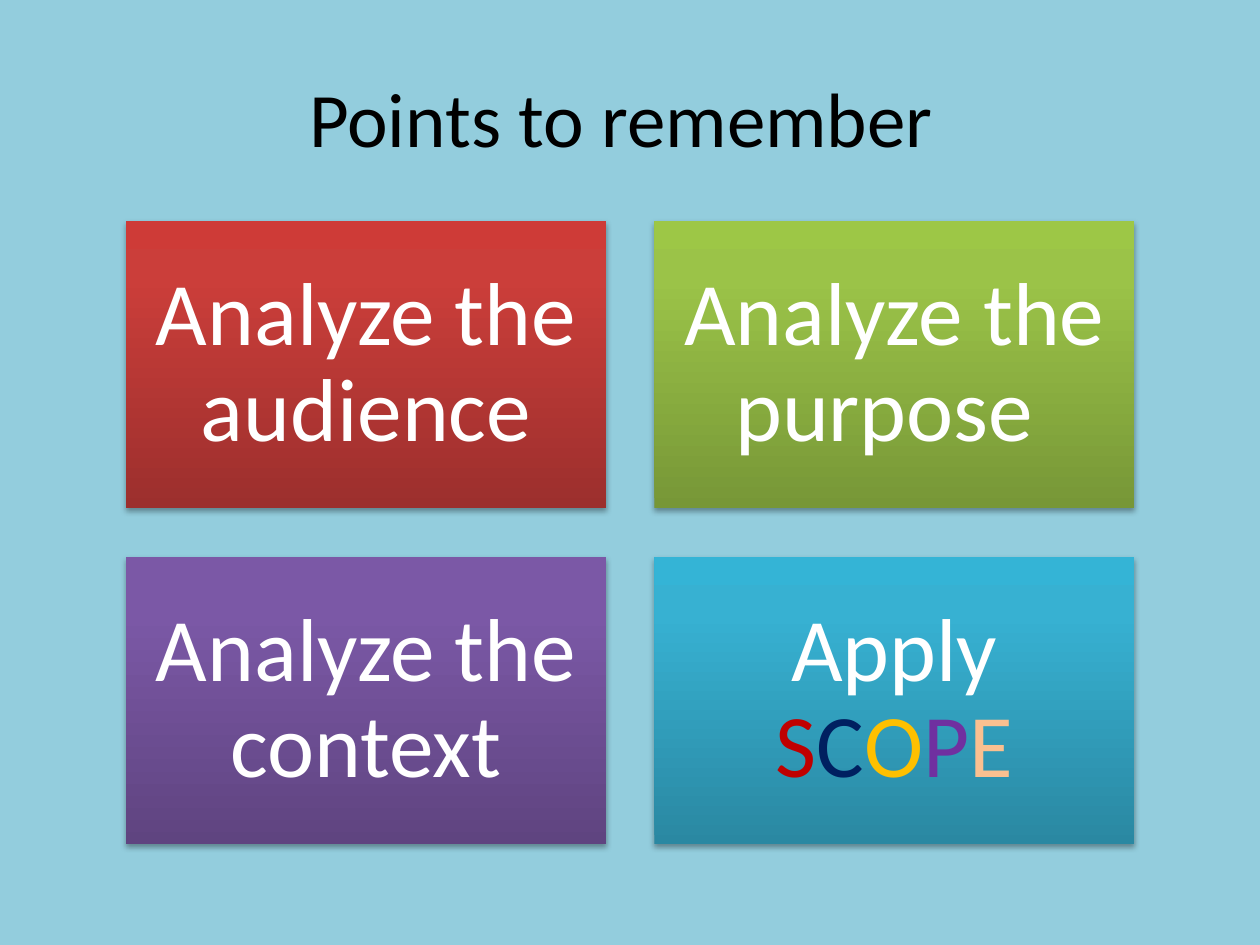
from copy import deepcopy

from lxml import etree
from pptx import Presentation
from pptx import util as u
from pptx.dml.color import RGBColor
from pptx.enum import shapes, text
from pptx.oxml.ns import qn

COLORS = {
    "background": "93CDDD", "black": "000000", "white": "FFFFFF",
    "red": "C00000", "navy": "002060", "gold": "FFC000",
    "purple": "7030A0", "peach": "FAC090",
}
# Bottom, upper and top shade of each card
SHADES = {
    "red": ("9C2F2D", "CB3E3A", "CE3B37"),
    "green": ("779737", "9BC348", "9DC746"),
    "violet": ("5F4480", "7B58A6", "7C57A8"),
    "aqua": ("2A88A2", "37B1D2", "34B4D6"),
}
STOPS = (0, 0.8, 1)


def add_run(p, content, size=51, color="white", font="Calibri"):
    r = p.add_run()
    r.text = content
    r.font.name = font
    r.font.size = u.Pt(size)
    r.font.color.rgb = RGBColor.from_string(COLORS[color])
    return r


class SlideBuilder:
    card_width, card_height, gap = 9.68, 5.8, 0.97
    left, top, inset = 2.54, 4.45, 0.53

    def __init__(self, prs):
        self.s = prs.slides.add_slide(prs.slide_layouts[5])
        fill = self.s.background.fill
        fill.solid()
        fill.fore_color.rgb = RGBColor.from_string(COLORS["background"])

    def title(self, content):
        sp = self.s.shapes.title
        sp.left, sp.top = u.Cm(1.27), u.Cm(0.76)
        sp.width, sp.height = u.Cm(22.86), u.Cm(3.18)
        tf = sp.text_frame
        tf.vertical_anchor = text.MSO_ANCHOR.MIDDLE
        p = tf.paragraphs[0]
        p.alignment = text.PP_ALIGN.CENTER
        add_run(p, content, size=44, color="black")

    def gradient(self, sp, shades):
        sp.fill.gradient()
        sp.fill.gradient_angle = 90
        stop_list = sp._element.spPr.find(qn("a:gradFill")).find(qn("a:gsLst"))
        stop_list.append(deepcopy(stop_list[-1]))
        for stop, position, shade in zip(sp.fill.gradient_stops, STOPS, shades):
            stop.position = position
            stop.color.rgb = RGBColor.from_string(shade)

    def shadow(self, sp):
        sp.shadow.inherit = False
        effects = sp._element.spPr.find(qn("a:effectLst"))
        outer = etree.SubElement(
            effects, qn("a:outerShdw"), blurRad="40000", dist="23000",
            dir="5400000", rotWithShape="0")
        color = etree.SubElement(outer, qn("a:srgbClr"), val=COLORS["black"])
        etree.SubElement(color, qn("a:alpha"), val="35000")

    def card(self, index, shade, runs):
        row, col = divmod(index, 2)
        sp = self.s.shapes.add_shape(
            shapes.MSO_SHAPE.RECTANGLE,
            u.Cm(self.left + col * (self.card_width + self.gap)),
            u.Cm(self.top + row * (self.card_height + self.gap)),
            u.Cm(self.card_width), u.Cm(self.card_height))
        self.gradient(sp, SHADES[shade])
        sp.line.fill.background()
        self.shadow(sp)
        tf = sp.text_frame
        tf.word_wrap = True
        tf.vertical_anchor = text.MSO_ANCHOR.MIDDLE
        tf.margin_left = tf.margin_right = u.Cm(self.inset)
        tf.margin_top = tf.margin_bottom = u.Cm(self.inset)
        p = tf.paragraphs[0]
        p.alignment = text.PP_ALIGN.CENTER
        p.line_spacing = 0.9
        for content, color in runs:
            add_run(p, content, color=color)


def main():
    prs = Presentation()
    prs.slide_width, prs.slide_height = u.Cm(25.4), u.Cm(19.05)
    slide = SlideBuilder(prs)

    # Heading
    slide.title("Points to remember ")

    # Two by two grid of cards
    scope = zip("SCOPE", ("red", "navy", "gold", "purple", "peach"))
    cards = [
        ("red", [("Analyze the audience", "white")]),
        ("green", [("Analyze the purpose ", "white")]),
        ("violet", [("Analyze the context", "white")]),
        ("aqua", [("Apply ", "white"), *scope]),
    ]
    for index, (shade, runs) in enumerate(cards):
        slide.card(index, shade, runs)

    prs.save("out.pptx")


if __name__ == "__main__":
    main()
